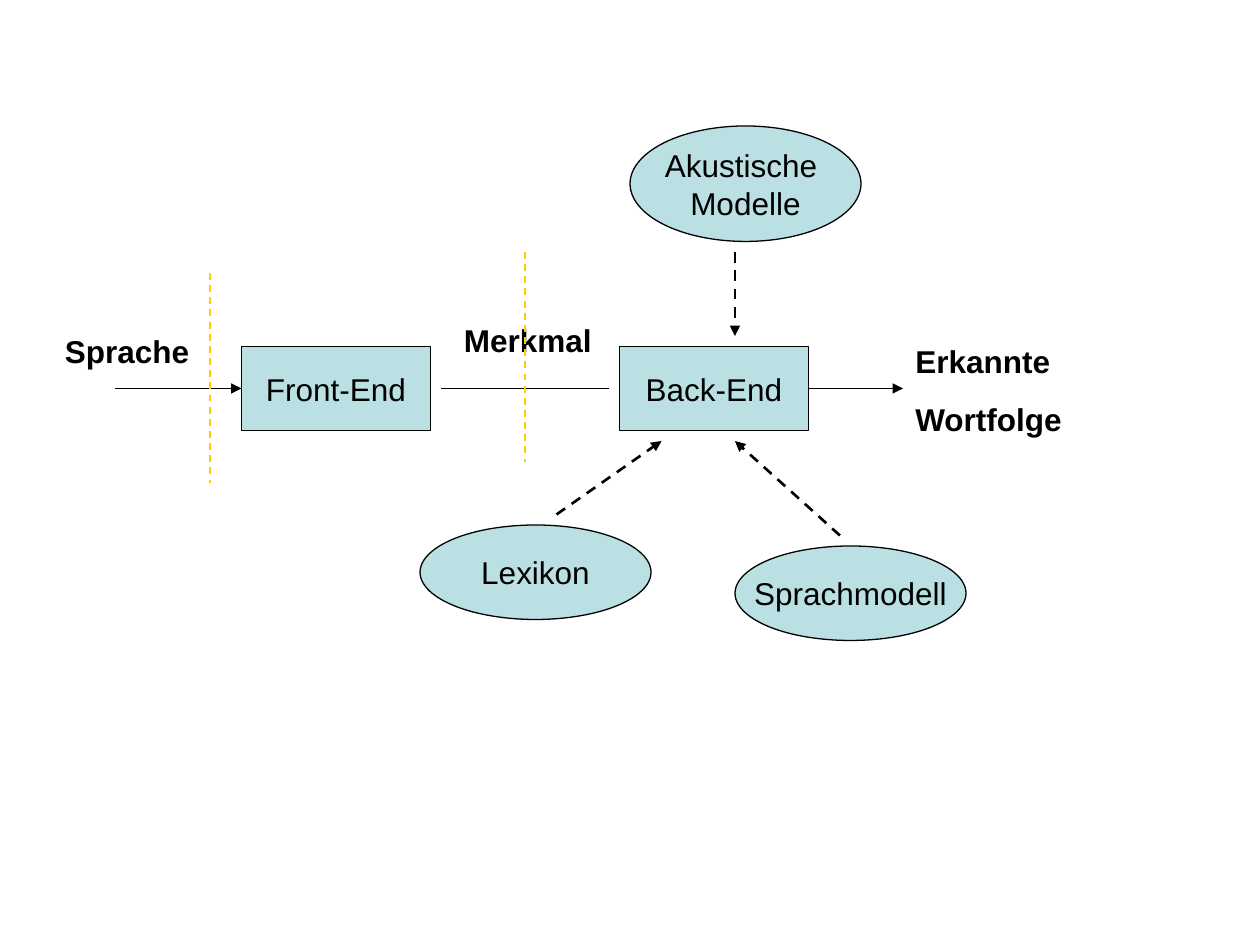
from pptx import Presentation
from pptx.dml.color import RGBColor
from pptx.enum.dml import MSO_LINE
from pptx.enum.shapes import MSO_CONNECTOR, MSO_SHAPE
from pptx.enum.text import MSO_ANCHOR, MSO_AUTO_SIZE, PP_ALIGN
from pptx.oxml.ns import qn
from pptx.util import Pt
from lxml import etree

PX = 9525  # EMU per px, 96 px to the inch
RECT, ELLIPSE = MSO_SHAPE.RECTANGLE, MSO_SHAPE.OVAL
STRAIGHT, DASH = MSO_CONNECTOR.STRAIGHT, MSO_LINE.DASH
CENTER, MIDDLE = PP_ALIGN.CENTER, MSO_ANCHOR.MIDDLE
GROW = MSO_AUTO_SIZE.SHAPE_TO_FIT_TEXT

BLACK = RGBColor(0x00, 0x00, 0x00)
TEAL = RGBColor(0xBB, 0xE0, 0xE3)
YELLOW = RGBColor(0xFF, 0xCC, 0x00)


def px(*lengths):
    return [length * PX for length in lengths]


def write(frame, lines, bold=False, align=None, gap=0):
    for index, line in enumerate(lines):
        para = frame.paragraphs[0] if index == 0 else frame.add_paragraph()
        para.text = line
        para.alignment = align
        if index and gap:
            para.space_before = Pt(gap)
        font = para.font
        font.name, font.size, font.bold = "Arial", Pt(18), bold
        font.color.rgb = BLACK


def add_node(page, kind, left, top, width, height, *lines):
    node = page.shapes.add_shape(kind, *px(left, top, width, height))
    node.shadow.inherit = False
    node.fill.solid()
    node.fill.fore_color.rgb = TEAL
    node.line.color.rgb = BLACK
    node.line.width = Pt(0.75)
    frame = node.text_frame
    frame.word_wrap = False
    frame.vertical_anchor = MIDDLE
    write(frame, lines, align=CENTER)


def add_label(page, left, top, width, height, *lines):
    box = page.shapes.add_textbox(*px(left, top, width, height))
    frame = box.text_frame
    frame.word_wrap = True
    frame.auto_size = GROW
    write(frame, lines, bold=True, gap=11.2)


def add_line(page, start, end, color=BLACK, width=0.75, dashed=False, arrow=True):
    link = page.shapes.add_connector(STRAIGHT, *px(*start, *end))
    link.line.color.rgb = color
    link.line.width = Pt(width)
    if dashed:
        link.line.dash_style = DASH
    if arrow:
        outline = link.line._get_or_add_ln()
        etree.SubElement(outline, qn("a:tailEnd"), type="triangle")
    etree.SubElement(link._element.spPr, qn("a:effectLst"))


def main():
    deck = Presentation()
    deck.slide_width, deck.slide_height = px(960, 720)
    page = deck.slides.add_slide(deck.slide_layouts[6])

    # Processing stages and knowledge sources
    add_node(page, RECT, 184, 264, 144, 64, "Front-End")
    add_node(page, RECT, 472, 264, 144, 64, "Back-End")
    add_node(page, ELLIPSE, 320, 400, 176, 72, "Lexikon")
    add_node(page, ELLIPSE, 480, 96, 176, 88, "Akustische ", "Modelle")
    add_node(page, ELLIPSE, 560, 416, 176, 72, "Sprachmodell")

    # Main signal flow
    add_line(page, (616, 296), (688, 296))
    add_line(page, (336, 296), (464, 296), arrow=False)
    add_line(page, (88, 296), (184, 296))

    # Labels of the flow, with the interface markers over them
    add_label(page, 40, 248, 128, 38, "Sprache")
    add_label(page, 344, 240, 128, 38, "Merkmal")
    for x, top in ((160, 208), (400, 192)):
        add_line(page, (x, top), (x, top + 160), YELLOW, 1, dashed=True, arrow=False)
    add_label(page, 688, 256, 168, 83, "Erkannte", "Wortfolge")

    # Knowledge sources feeding the back end
    for start, end in (
        ((424, 392), (504, 336)),
        ((560, 192), (560, 256)),
        ((640, 408), (560, 336)),
    ):
        add_line(page, start, end, width=1.5, dashed=True)

    deck.save("out.pptx")


if __name__ == "__main__":
    main()
